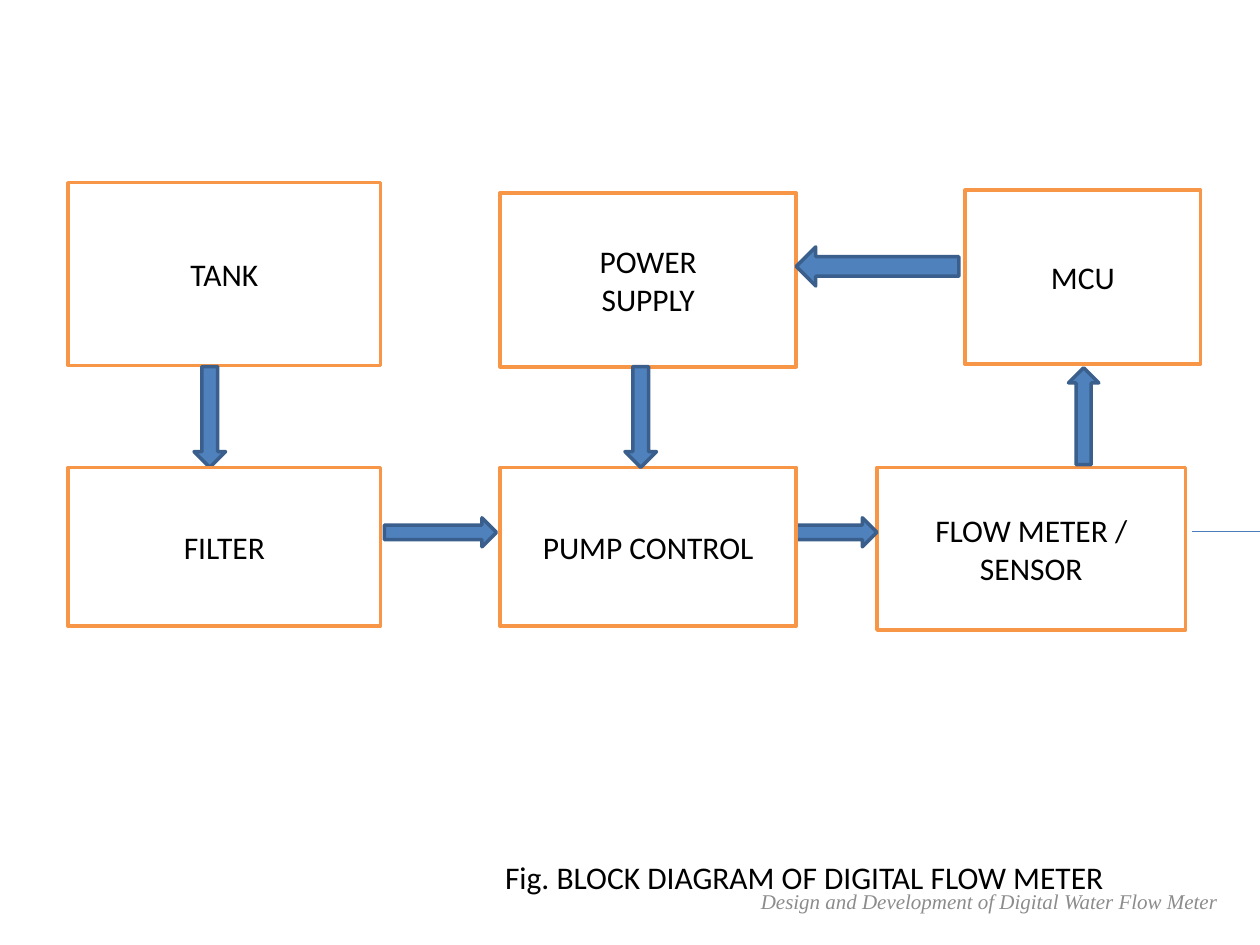
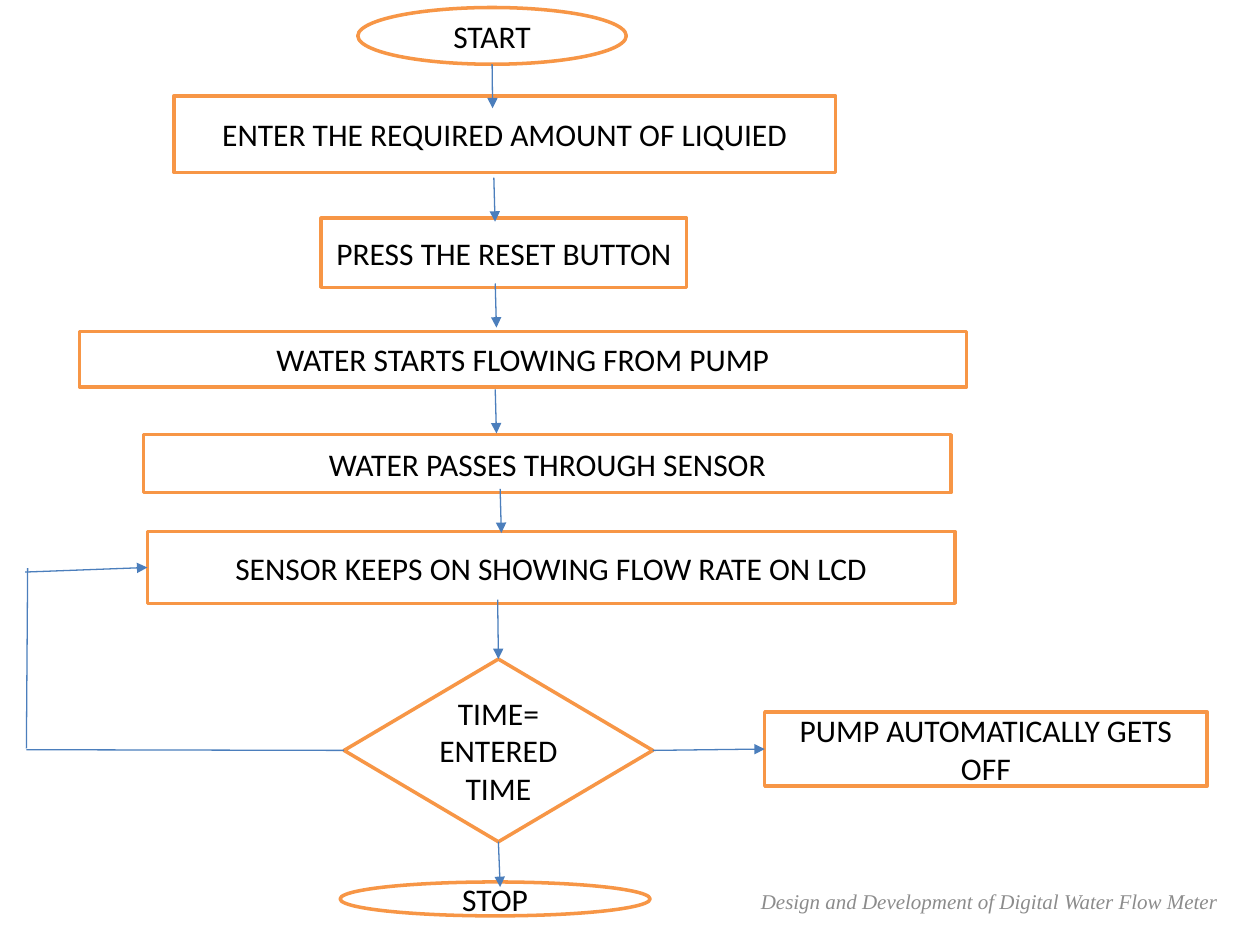
from lxml import etree
from pptx import Presentation
from pptx.dml.color import RGBColor
from pptx.enum.shapes import MSO_CONNECTOR, MSO_SHAPE
from pptx.enum.text import MSO_ANCHOR, PP_ALIGN
from pptx.oxml.ns import qn
from pptx.util import Pt

RECTANGLE, OVAL, DIAMOND = MSO_SHAPE.RECTANGLE, MSO_SHAPE.OVAL, MSO_SHAPE.DIAMOND
RIGHT, LEFT = MSO_SHAPE.RIGHT_ARROW, MSO_SHAPE.LEFT_ARROW
UP, DOWN = MSO_SHAPE.UP_ARROW, MSO_SHAPE.DOWN_ARROW
STRAIGHT = MSO_CONNECTOR.STRAIGHT
CENTER, ALIGN_LEFT = PP_ALIGN.CENTER, PP_ALIGN.LEFT
TOP, MIDDLE = MSO_ANCHOR.TOP, MSO_ANCHOR.MIDDLE
SIDE_TOP, SIDE_LEFT, SIDE_BOTTOM, SIDE_RIGHT = range(4)
BLANK_LAYOUT = 6

COLORS = {
    "white": "FFFFFF",
    "black": "000000",
    "orange": "F79646",
    "blue": "4F81BD",
    "dark_blue": "3A5F8C",
    "connector": "4B7EBC",
    "gray": "8C8C8C",
}
FOOTER = "Design and Development of Digital Water Flow Meter"


def color(name):
    return RGBColor.from_string(COLORS[name])


def write_text(shape, text, size=18, font="Calibri", ink="black",
               italic=False, align=CENTER, anchor=MIDDLE):
    frame = shape.text_frame
    frame.word_wrap = True
    frame.vertical_anchor = anchor
    frame.text = text
    for paragraph in frame.paragraphs:
        paragraph.alignment = align
        for run in paragraph.runs:
            run.font.size = Pt(size)
            run.font.name = font
            run.font.italic = italic
            run.font.color.rgb = color(ink)


class DiagramDeck:
    """Holds the presentation, its style and the slide being drawn."""

    def __init__(self):
        self.presentation = Presentation()
        self.presentation.slide_width = Pt(720)
        self.presentation.slide_height = Pt(540)
        self.slide = None

    def new_slide(self):
        layout = self.presentation.slide_layouts[BLANK_LAYOUT]
        self.slide = self.presentation.slides.add_slide(layout)
        self.label(FOOTER, 427.7, 500.4, 284.4, 28.8, size=12, ink="gray",
                   font="Times New Roman", italic=True, anchor=MIDDLE)

    def label(self, text, left, top, width, height, anchor=TOP, **style):
        box = self.slide.shapes.add_textbox(Pt(left), Pt(top), Pt(width), Pt(height))
        write_text(box, text, align=ALIGN_LEFT, anchor=anchor, **style)

    def shape(self, kind, left, top, width, height, fill, line):
        shape = self.slide.shapes.add_shape(
            kind, Pt(left), Pt(top), Pt(width), Pt(height))
        shape.shadow.inherit = False
        shape.fill.solid()
        shape.fill.fore_color.rgb = color(fill)
        shape.line.color.rgb = color(line)
        shape.line.width = Pt(2)
        return shape

    def node(self, text, left, top, width, height, kind=RECTANGLE):
        node = self.shape(kind, left, top, width, height, "white", "orange")
        write_text(node, text)
        return node

    def block_arrow(self, kind, left, top, width, height):
        self.shape(kind, left, top, width, height, "blue", "dark_blue")

    def line(self, start, end, begin=None, finish=None, arrow=True):
        """Draw a line; begin and finish are optional (shape, side) joints."""
        connector = self.slide.shapes.add_connector(
            STRAIGHT, *(Pt(value) for value in (*start, *end)))
        if begin:
            connector.begin_connect(*begin)
        if finish:
            connector.end_connect(*finish)
        connector.line.color.rgb = color("connector")
        connector.line.width = Pt(0.75)
        if arrow:
            outline = connector.line._get_or_add_ln()
            etree.SubElement(outline, qn("a:tailEnd"), type="triangle")
        etree.SubElement(connector._element.spPr, qn("a:effectLst"))


def draw_block_diagram(deck):
    deck.new_slide()
    lower_row = 267.1
    deck.node("MCU", 551.5, 108.7, 134.6, 99.4)
    deck.node("TANK", 38.9, 104.4, 178.6, 104.4)
    deck.node("POWER\nSUPPLY", 285.8, 110.2, 169.2, 99.4)
    deck.node("FLOW METER / SENSOR", 501.1, lower_row, 176.4, 92.9)
    for arrow in [
        (RIGHT, 450.7, 295.9, 50.4, 16.6),
        (DOWN, 110.9, 209.5, 18, 57.6),
        (RIGHT, 219.6, 295.9, 64.1, 16.6),
        (LEFT, 455, 141.1, 92.9, 22.3),
        (UP, 610.6, 210.2, 17.3, 55.4),
    ]:
        deck.block_arrow(*arrow)
    deck.line((681.1, 303.8), (728.6, 303.8))
    deck.label("Fig. BLOCK DIAGRAM OF DIGITAL FLOW METER", 281.5, 486.7, 370.8, 28.8)
    deck.node("FILTER", 38.9, lower_row, 178.6, 90.7)
    deck.node("PUMP CONTROL", 285.8, lower_row, 169.2, 90.7)
    deck.block_arrow(DOWN, 357.1, 209.5, 18, 57.6)


def draw_flowchart(deck):
    deck.new_slide()
    start = deck.node("START", 204.5, 4.3, 153.4, 32.4, OVAL)
    deck.node("ENTER THE REQUIRED AMOUNT OF LIQUIED", 99.4, 54.7, 378, 43.9)
    deck.node("PRESS THE RESET BUTTON", 183.6, 124.6, 208.8, 39.6)
    deck.node("WATER STARTS FLOWING FROM PUMP", 45.4, 189.4, 506.9, 31.7)
    deck.node("WATER PASSES THROUGH SENSOR", 82.1, 248.4, 461.5, 33.1)
    show_rate = deck.node("SENSOR KEEPS ON SHOWING FLOW RATE ON LCD",
                          84.2, 303.8, 461.5, 41)
    decision = deck.node("TIME= ENTERED TIME", 196.6, 376.6, 176.4, 104.4, DIAMOND)
    pump_off = deck.node("PUMP AUTOMATICALLY GETS OFF", 437, 406.8, 252.7, 42.5)
    deck.node("STOP", 194.4, 504, 177.1, 19.4, OVAL)

    step = 25.2
    deck.line((281.5, 36.7), (281.5, 36.7 + step), begin=(start, SIDE_BOTTOM))
    for x, y in [(282.2, 101.5), (283, 162), (283, 222.5), (285.8, 279.4)]:
        deck.line((x, y), (x + 0.7, y + step))
    deck.line((284.4, 342.7), (285.1, 376.6), finish=(decision, SIDE_TOP))
    deck.line((285.1, 481), (285.8, 506.9), begin=(decision, SIDE_BOTTOM))
    deck.line((373, 428.8), (437, 428), begin=(decision, SIDE_RIGHT),
              finish=(pump_off, SIDE_LEFT))

    deck.line((196.6, 428.8), (15.1, 428.4), begin=(decision, SIDE_LEFT), arrow=False)
    deck.line((15.1, 427.7), (15.8, 324.7), arrow=False)
    deck.line((14.4, 326.9), (84.2, 324.3), finish=(show_rate, SIDE_LEFT))


def main():
    deck = DiagramDeck()
    draw_block_diagram(deck)
    draw_flowchart(deck)
    deck.presentation.save("out.pptx")


if __name__ == "__main__":
    main()
